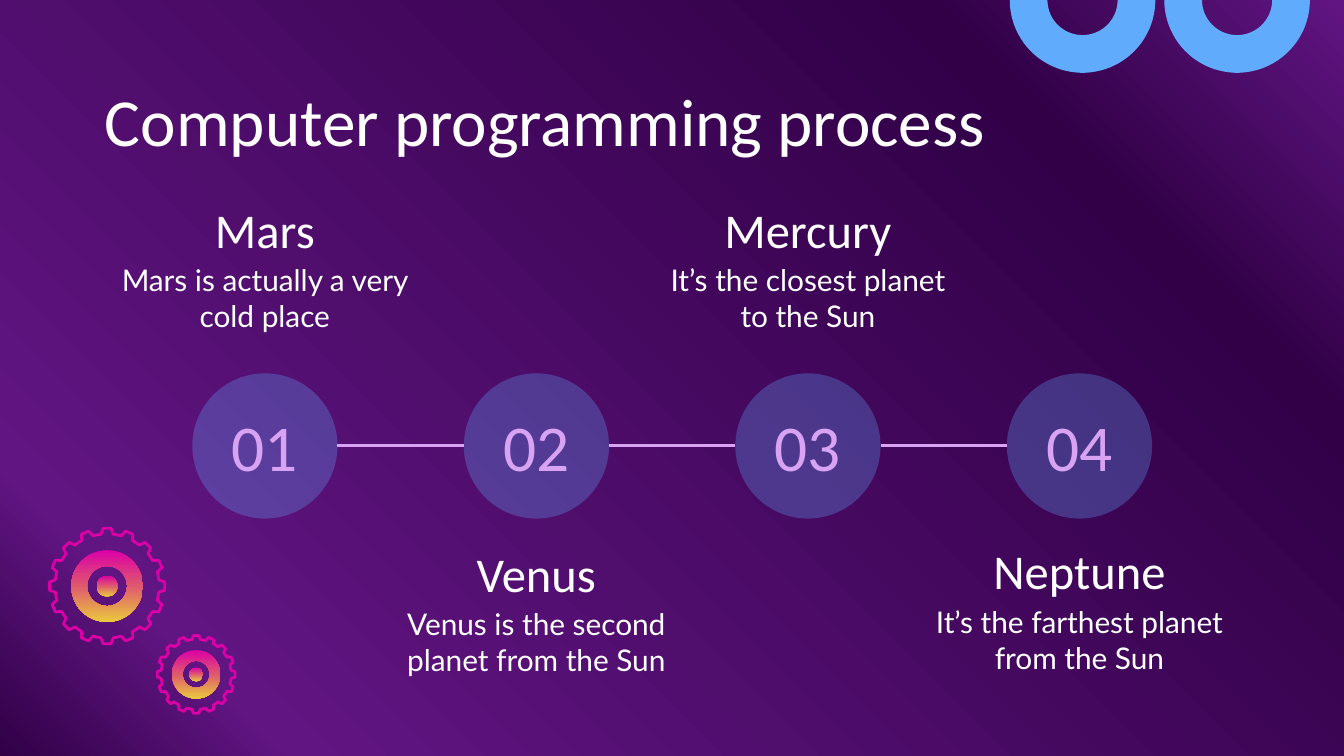
import math
from dataclasses import dataclass

import pptx
import pptx.dml.color
import pptx.enum.shapes
import pptx.enum.text
import pptx.oxml
import pptx.oxml.ns
import pptx.util

Pt = pptx.util.Pt
RGB = pptx.dml.color.RGBColor.from_string
SHAPE = pptx.enum.shapes.MSO_SHAPE
ANCHOR = pptx.enum.text.MSO_ANCHOR
ALIGN = pptx.enum.text.PP_ALIGN


@dataclass(frozen=True)
class Theme:
    text: str = "FFFFFF"
    accent: str = "D9A3F3"
    sky: str = "61ABFC"
    pink: str = "DB00A6"
    backdrop: tuple = ((0, "310047"), (14, "611582"), (80, "310047"), (100, "611582"))
    gear: tuple = ((0, "DB00A6"), (50, "DF596E"), (100, "EAC93D"))
    heading_font: str = "Calibri"
    body_font: str = "Lato"
    title_size: int = 36
    number_size: int = 35
    heading_size: int = 26
    body_size: int = 16
    line_width: float = 1.5
    disc_alpha: int = 29


THEME = Theme()

STEPS = [
    # number, heading, description, top of the text block
    ("01", "Mars", "Mars is actually a very cold place", 108.7),
    ("02", "Venus", "Venus is the second planet from the Sun", 293),
    ("03", "Mercury", "It’s the closest planet to the Sun", 108.7),
    ("04", "Neptune", "It’s the farthest planet from the Sun", 291.6),
]


def sub(parent, tag, **attributes):
    child = pptx.oxml.parse_xml(f'<{tag} {pptx.oxml.ns.nsdecls("a")}/>')
    for name, value in attributes.items():
        child.set(name, str(value))
    parent.append(child)
    return child


def set_gradient(fill, owner, stops, clockwise):
    """Give the first gradient inside owner any number of stops."""
    fill.gradient()
    fill.gradient_angle = (360 - clockwise) % 360
    stop_list = owner.xpath(".//a:gradFill/a:gsLst")[0]
    for stop in list(stop_list):
        stop_list.remove(stop)
    for position, color in stops:
        stop = sub(stop_list, "a:gs", pos=position * 1000)
        sub(stop, "a:srgbClr", val=color)


def set_solid(shape, color):
    shape.shadow.inherit = False
    shape.fill.solid()
    shape.fill.fore_color.rgb = RGB(color)
    shape.line.fill.background()


def add_preset(slide, kind, box, color):
    shape = slide.shapes.add_shape(kind, *map(Pt, box))
    set_solid(shape, color)
    return shape


def add_outline(slide, points):
    vertices = [(Pt(x), Pt(y)) for x, y in points]
    builder = slide.shapes.build_freeform(*vertices[0], scale=1.0)
    builder.add_line_segments(vertices[1:], close=True)
    shape = builder.convert_to_shape()
    shape.shadow.inherit = False
    return shape


def polar(center_x, center_y, radius, degrees):
    angle = math.radians(degrees)
    return center_x + radius * math.cos(angle), center_y + radius * math.sin(angle)


def write(frame, text, font, size, color, align, anchor):
    frame.word_wrap = True
    frame.auto_size = pptx.enum.text.MSO_AUTO_SIZE.NONE
    frame.vertical_anchor = anchor
    frame.margin_left = frame.margin_right = Pt(7.2)
    frame.margin_top = frame.margin_bottom = Pt(7.2)
    paragraph = frame.paragraphs[0]
    paragraph.alignment = align
    run = paragraph.add_run()
    run.text = text
    run.font.name = font
    run.font.size = Pt(size)
    run.font.color.rgb = RGB(color)


def add_label(slide, box, text, font, size, color, anchor=ANCHOR.MIDDLE):
    label = slide.shapes.add_textbox(*map(Pt, box))
    write(label.text_frame, text, font, size, color, ALIGN.CENTER, anchor)


def place_title(slide, box, text):
    title = slide.shapes.title
    title.left, title.top, title.width, title.height = map(Pt, box)
    write(title.text_frame, text, THEME.heading_font, THEME.title_size,
          THEME.text, ALIGN.LEFT, ANCHOR.TOP)


def add_half_rings(slide, box, count=2, gap=4.3, thickness=20.2):
    """Rings cut by the top edge of the box, side by side."""
    left, top, width, height = box
    diameter = (width - gap * (count - 1)) / count
    for index in range(count):
        center = left + diameter / 2 + index * (diameter + gap)
        arc = range(0, 181, 4)
        outer = [polar(center, top, height, a) for a in arc]
        inner = [polar(center, top, height - thickness, a) for a in reversed(arc)]
        set_solid(add_outline(slide, outer + inner), THEME.sky)


def add_gear(slide, box, teeth=16):
    left, top, size, _ = box
    center_x, center_y, radius = left + size / 2, top + size / 2, size / 2
    pitch = 360 / teeth
    tooth = [(-6.8, 0.9), (-4, 1), (4, 1), (6.8, 0.9), (pitch / 2, 0.9)]
    rim = add_outline(slide, [
        polar(center_x, center_y, radius * reach, index * pitch + offset)
        for index in range(teeth) for offset, reach in tooth])
    rim.fill.background()
    rim.line.color.rgb = RGB(THEME.pink)
    rim.line.width = Pt(THEME.line_width)

    for kind, share in ((SHAPE.DONUT, 0.62), (SHAPE.OVAL, 0.18)):
        part = size * share
        disc = add_preset(slide, kind, (center_x - part / 2, center_y - part / 2,
                                        part, part), THEME.pink)
        if kind == SHAPE.DONUT:
            disc.adjustments[0] = 0.22
        set_gradient(disc.fill, disc._element, THEME.gear, 90)


def add_link(slide, start, end, y):
    link = slide.shapes.add_connector(
        pptx.enum.shapes.MSO_CONNECTOR.STRAIGHT, Pt(start), Pt(y), Pt(end), Pt(y))
    link.line.color.rgb = RGB(THEME.accent)
    link.line.width = Pt(THEME.line_width)
    sub(link._element.spPr, "a:effectLst")


def add_timeline(slide, box, steps):
    """Numbered discs spread over the box, with texts above and below it."""
    left, top, width, diameter = box
    pitch = (width - diameter) / (len(steps) - 1)
    middle = top + diameter / 2
    for index, (number, heading, description, text_top) in enumerate(steps):
        disc_left = left + index * pitch
        center = disc_left + diameter / 2
        disc = add_preset(slide, SHAPE.OVAL,
                          (disc_left, top, diameter, diameter), THEME.sky)
        color = disc._element.spPr.xpath("./a:solidFill/a:srgbClr")[0]
        sub(color, "a:alpha", val=THEME.disc_alpha * 1000)
        if index:
            add_link(slide, disc_left - pitch + diameter, disc_left, middle)
        add_label(slide, (center - 41, middle - 19, 82, 37.4), number,
                  THEME.heading_font, THEME.number_size, THEME.accent)
        add_label(slide, (center - 88.2, text_top, 176.4, 28), heading,
                  THEME.heading_font, THEME.heading_size, THEME.text)
        add_label(slide, (center - 88.2, text_top + 24.5, 176.4, 45.4), description,
                  THEME.body_font, THEME.body_size, THEME.text, ANCHOR.TOP)


def main():
    deck = pptx.Presentation()
    deck.slide_width, deck.slide_height = Pt(720), Pt(405)
    slide = deck.slides.add_slide(deck.slide_layouts.get_by_name("Title Only"))
    set_gradient(slide.background.fill, slide._element, THEME.backdrop, 315)
    add_half_rings(slide, (540.7, 0, 161.3, 39))
    place_title(slide, (49, 35.3, 622, 45.4), "Computer programming process")
    add_timeline(slide, (103, 200, 514.2, 77.8), STEPS)
    add_gear(slide, (26.4, 283, 62, 62))
    add_gear(slide, (84.2, 340.4, 41.8, 41.8))
    deck.save("out.pptx")


if __name__ == "__main__":
    main()
